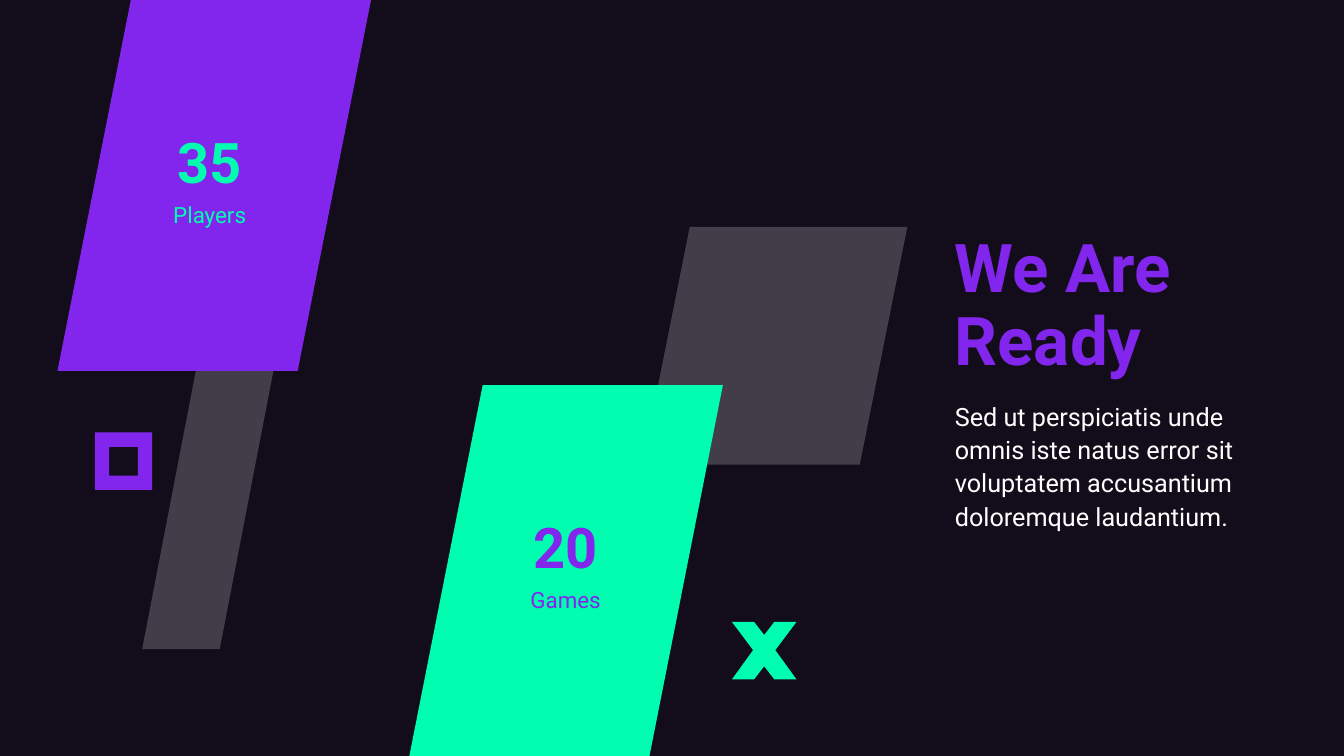
"""Build the "We Are Ready" slide with its two slanted figure cards."""
from dataclasses import dataclass

from pptx import Presentation
from pptx.dml.color import RGBColor
from pptx.enum.shapes import MSO_SHAPE
from pptx.enum.text import MSO_ANCHOR, MSO_AUTO_SIZE, PP_ALIGN
from pptx.oxml.ns import qn
from pptx.util import Inches, Pt
from lxml.etree import SubElement


@dataclass(frozen=True)
class Theme:
    font: str = "Roboto"
    night: str = "130D1B"
    violet: str = "8226EE"
    mint: str = "01FDB0"
    white: str = "FFFFFF"
    title: int = 48
    figure: int = 40
    body: int = 18
    label: int = 16
    veil: int = 20


class SlidePainter:
    def __init__(self, page, theme):
        self.page = page
        self.theme = theme
        page.background.fill.solid()
        page.background.fill.fore_color.rgb = RGBColor.from_string(theme.night)

    def paint(self, shape, color, opacity=100):
        shape.shadow.inherit = False
        shape.fill.solid()
        shape.fill.fore_color.rgb = RGBColor.from_string(color)
        shape.line.fill.background()
        if opacity < 100:
            tint = shape.element.spPr.find(qn("a:solidFill"))[0]
            SubElement(tint, qn("a:alpha"), val=str(opacity * 1000))

    def preset(self, kind, place, slant, color, opacity=100):
        shape = self.page.shapes.add_shape(kind, *map(Inches, place))
        shape.adjustments[0] = slant
        self.paint(shape, color, opacity)

    def outline(self, points, color):
        start, *others = [(round(x * 100), round(y * 100)) for x, y in points]
        builder = self.page.shapes.build_freeform(*start, scale=Inches(0.01))
        builder.add_line_segments(others, close=True)
        self.paint(builder.convert_to_shape(), color)

    def set_text(self, box, place, text, size, color, bold=False, spacing=1.1,
                 anchor=MSO_ANCHOR.TOP, align=PP_ALIGN.LEFT):
        for name, length in zip(("left", "top", "width", "height"), place):
            setattr(box, name, Inches(length))
        frame = box.text_frame
        frame_format = {"word_wrap": True, "auto_size": MSO_AUTO_SIZE.NONE,
                        "vertical_anchor": anchor, "margin_left": 0,
                        "margin_top": 0, "margin_right": 0, "margin_bottom": 0}
        for name, value in frame_format.items():
            setattr(frame, name, value)
        para = frame.paragraphs[0]
        para_format = {"alignment": align, "line_spacing": spacing,
                       "space_before": Pt(0), "space_after": Pt(0)}
        for name, value in para_format.items():
            setattr(para, name, value)
        span = para.add_run()
        span.text = text
        span_format = {"name": self.theme.font, "size": Pt(size), "bold": bold}
        for name, value in span_format.items():
            setattr(span.font, name, value)
        span.font.color.rgb = RGBColor.from_string(color)

    def title(self, place, text):
        self.set_text(self.page.shapes.title, place, text, self.theme.title,
                      self.theme.violet, True, 0.9, MSO_ANCHOR.BOTTOM)

    def body(self, place, text):
        box = self.page.placeholders[1]
        properties = box.text_frame.paragraphs[0]._p.get_or_add_pPr()
        properties.set("marL", "0")
        properties.set("indent", "0")
        SubElement(properties, qn("a:buNone"))
        self.set_text(box, place, text, self.theme.body, self.theme.white)

    def label(self, place, text, size, color, **style):
        box = self.page.shapes.add_textbox(0, 0, 0, 0)
        self.set_text(box, place, text, size, color, align=PP_ALIGN.CENTER, **style)

    def card(self, left, top, text_left, figure, caption, fill, ink):
        self.preset(MSO_SHAPE.PARALLELOGRAM, (left, top, 3.11, 3.68), 0.234, fill)
        self.label((text_left, top + 0.78, 1.74, 1.15), figure, self.theme.figure,
                   ink, bold=True, anchor=MSO_ANCHOR.BOTTOM)
        self.label((text_left, top + 1.97, 1.74, 1.7), caption, self.theme.label, ink)


def main():
    deck = Presentation()
    deck.slide_width, deck.slide_height = Inches(13.33), Inches(7.5)
    theme = Theme()
    painter = SlidePainter(deck.slides.add_slide(deck.slide_layouts[1]), theme)

    veils = [((6.37, 2.25, 2.63, 2.36), 0.2), ((1.41, 3.43, 1.35, 3.01), 0.43)]
    for place, slant in veils:
        painter.preset(MSO_SHAPE.PARALLELOGRAM, place, slant, theme.white, theme.veil)
    painter.preset(MSO_SHAPE.FRAME, (0.94, 4.29, 0.57, 0.57), 0.25, theme.violet)

    painter.card(0.57, 0, 1.21, "35", "Players", theme.violet, theme.mint)
    painter.card(4.06, 3.82, 4.74, "20", "Games", theme.mint, theme.violet)

    cross = [(7.26, 6.17), (7.48, 6.17), (7.58, 6.3), (7.68, 6.17),
             (7.9, 6.17), (7.69, 6.45), (7.9, 6.74), (7.68, 6.74),
             (7.58, 6.61), (7.48, 6.74), (7.26, 6.74), (7.47, 6.45)]
    painter.outline(cross, theme.mint)

    painter.title((9.47, 0.91, 3.3, 2.86), "We Are Ready")
    painter.body((9.47, 3.95, 3.3, 2.99),
                 "Sed ut perspiciatis unde omnis iste natus error sit "
                 "voluptatem accusantium doloremque laudantium.")
    deck.save("out.pptx")


if __name__ == "__main__":
    main()
